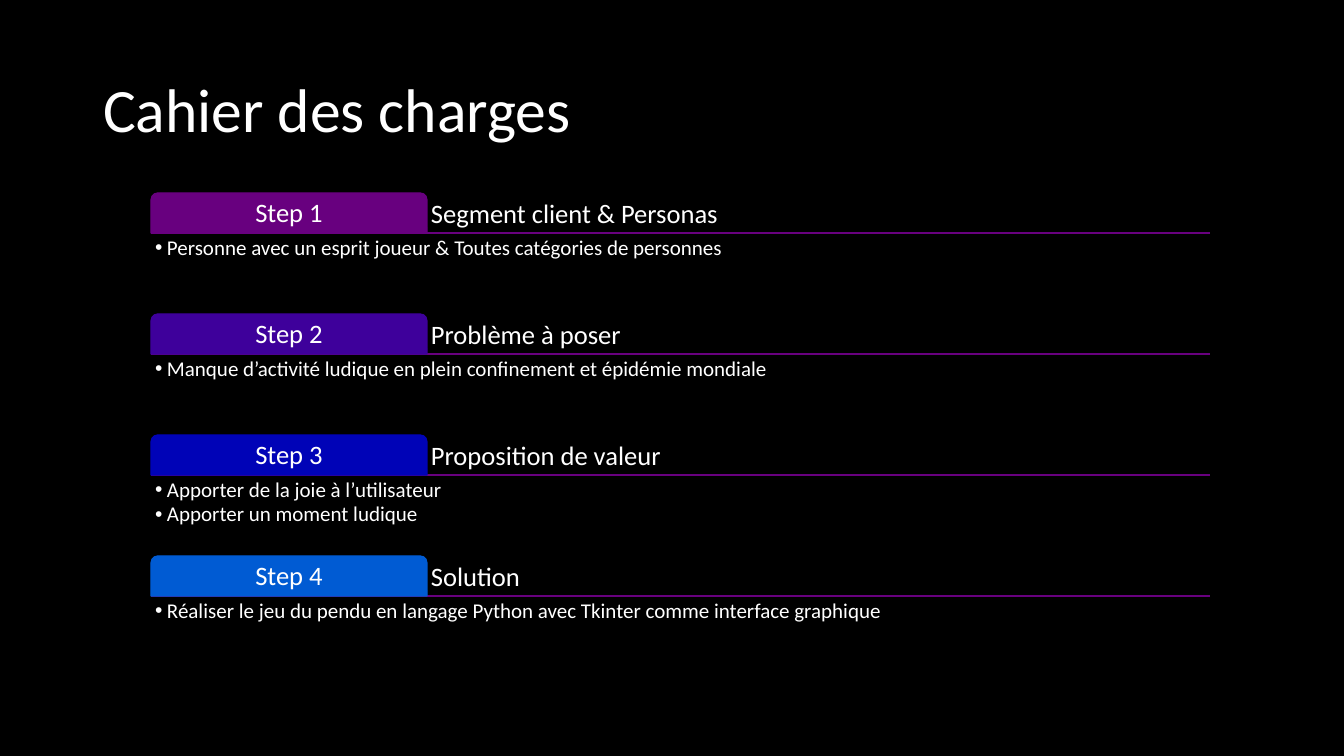
from pptx import Presentation
from pptx.dml.color import RGBColor
from pptx.enum.shapes import MSO_CONNECTOR, MSO_SHAPE
from pptx.enum.text import MSO_ANCHOR, MSO_AUTO_SIZE, PP_ALIGN
from pptx.oxml.ns import qn
from pptx.util import Emu, Pt
from lxml.etree import SubElement

BLACK = RGBColor(0x00, 0x00, 0x00)
WHITE = RGBColor(0xFF, 0xFF, 0xFF)
PURPLE = RGBColor(0x68, 0x00, 0x7F)
VIOLET = RGBColor(0x3E, 0x00, 0x9B)
BLUE = RGBColor(0x00, 0x03, 0xB7)
AZURE = RGBColor(0x00, 0x5B, 0xD3)

EMU_PER_PIXEL = 914400 / 100.8


def px(pixels):
    return Emu(round(pixels * EMU_PER_PIXEL))


class SlideBuilder:
    font = "Calibri"
    line_width = Pt(0.79)
    inset = 4

    def __init__(self, slide):
        self.slide = slide
        slide.background.fill.solid()
        slide.background.fill.fore_color.rgb = BLACK

    def place(self, shape, left, top, width, height):
        shape.left, shape.top = px(left), px(top)
        shape.width, shape.height = px(width), px(height)

    def set_text(self, shape, lines, size, anchor, align=PP_ALIGN.LEFT,
                 inset=None, space_after=0, bullets=False):
        frame = shape.text_frame
        frame.word_wrap = True
        frame.auto_size = MSO_AUTO_SIZE.NONE
        frame.vertical_anchor = anchor
        if inset is not None:
            frame.margin_left = frame.margin_right = px(inset)
            frame.margin_top = frame.margin_bottom = px(inset)
        for index, line in enumerate(lines):
            para = frame.add_paragraph() if index else frame.paragraphs[0]
            para.alignment = align
            para.line_spacing = 0.9
            para.space_before, para.space_after = Pt(0), Pt(space_after)
            if bullets:
                self.bullet(para)
            span = para.add_run()
            span.text = line
            span.font.name, span.font.size = self.font, Pt(size)
            span.font.bold = False
            span.font.color.rgb = WHITE

    def bullet(self, para):
        properties = para._p.get_or_add_pPr()
        properties.set("marL", str(px(12)))
        properties.set("indent", str(px(-12)))
        SubElement(properties, qn("a:buChar")).set("char", "•")

    def title(self, text, *area):
        shape = self.slide.shapes.title
        self.place(shape, *area)
        self.set_text(shape, [text], 44, MSO_ANCHOR.MIDDLE)

    def rule(self, left, right, y):
        line = self.slide.shapes.add_connector(
            MSO_CONNECTOR.STRAIGHT, px(left), px(y), px(right), px(y))
        line.line.color.rgb, line.line.width = PURPLE, self.line_width
        SubElement(line._element.spPr, qn("a:effectLst"))

    def heading(self, text, *area):
        box = self.slide.shapes.add_textbox(*map(px, area))
        self.set_text(box, [text], 19, MSO_ANCHOR.BOTTOM, inset=self.inset)

    def tab(self, text, color, *area):
        shape = self.slide.shapes.add_shape(
            MSO_SHAPE.ROUND_2_SAME_RECTANGLE, *map(px, area))
        shape.shadow.inherit = False
        shape.adjustments[0], shape.adjustments[1] = 0.167, 0
        shape.fill.solid()
        shape.fill.fore_color.rgb = color
        shape.line.color.rgb, shape.line.width = color, self.line_width
        self.set_text(shape, [text], 19, MSO_ANCHOR.MIDDLE, PP_ALIGN.CENTER,
                      self.inset)

    def bullet_list(self, holder, lines, *area):
        self.place(holder, *area)
        self.set_text(holder, lines, 15, MSO_ANCHOR.TOP, inset=self.inset,
                      space_after=1.5, bullets=True)


STEPS = [
    ("Segment client & Personas", PURPLE,
     ["Personne avec un esprit joueur & Toutes catégories de personnes"]),
    ("Problème à poser", VIOLET,
     ["Manque d’activité ludique en plein confinement et épidémie mondiale"]),
    ("Proposition de valeur", BLUE,
     ["Apporter de la joie à l’utilisateur", "Apporter un moment ludique"]),
    ("Solution", AZURE,
     ["Réaliser le jeu du pendu en langage Python avec Tkinter "
      "comme interface graphique"]),
]
LEFT, RIGHT, TAB_RIGHT = 151, 1210, 427
FIRST_TOP, STEP_PITCH = 193, 121
TAB_HEIGHT, LIST_HEIGHT = 40, 80

deck = Presentation()
deck.slide_width, deck.slide_height = px(1344), px(756)

# The comparison layout offers a title and one placeholder per step list
slide = deck.slides.add_slide(deck.slide_layouts.get_by_name("Comparison"))
builder = SlideBuilder(slide)
list_holders = [holder for holder in slide.placeholders
                if 1 <= holder.placeholder_format.idx <= len(STEPS)]

# Title
builder.title("Cahier des charges", 93, 40, 1159, 146)

# Steps: rule, heading, numbered tab and list
for index, (name, color, lines) in enumerate(STEPS):
    top = FIRST_TOP + index * STEP_PITCH
    base = top + TAB_HEIGHT
    builder.rule(LEFT, RIGHT, base)
    builder.heading(name, TAB_RIGHT, top, RIGHT - TAB_RIGHT, TAB_HEIGHT)
    builder.tab(f"Step {index + 1}", color,
                LEFT, top, TAB_RIGHT - LEFT, TAB_HEIGHT)
    builder.bullet_list(list_holders[index], lines,
                        LEFT, base, RIGHT - LEFT, LIST_HEIGHT)

deck.save("out.pptx")
